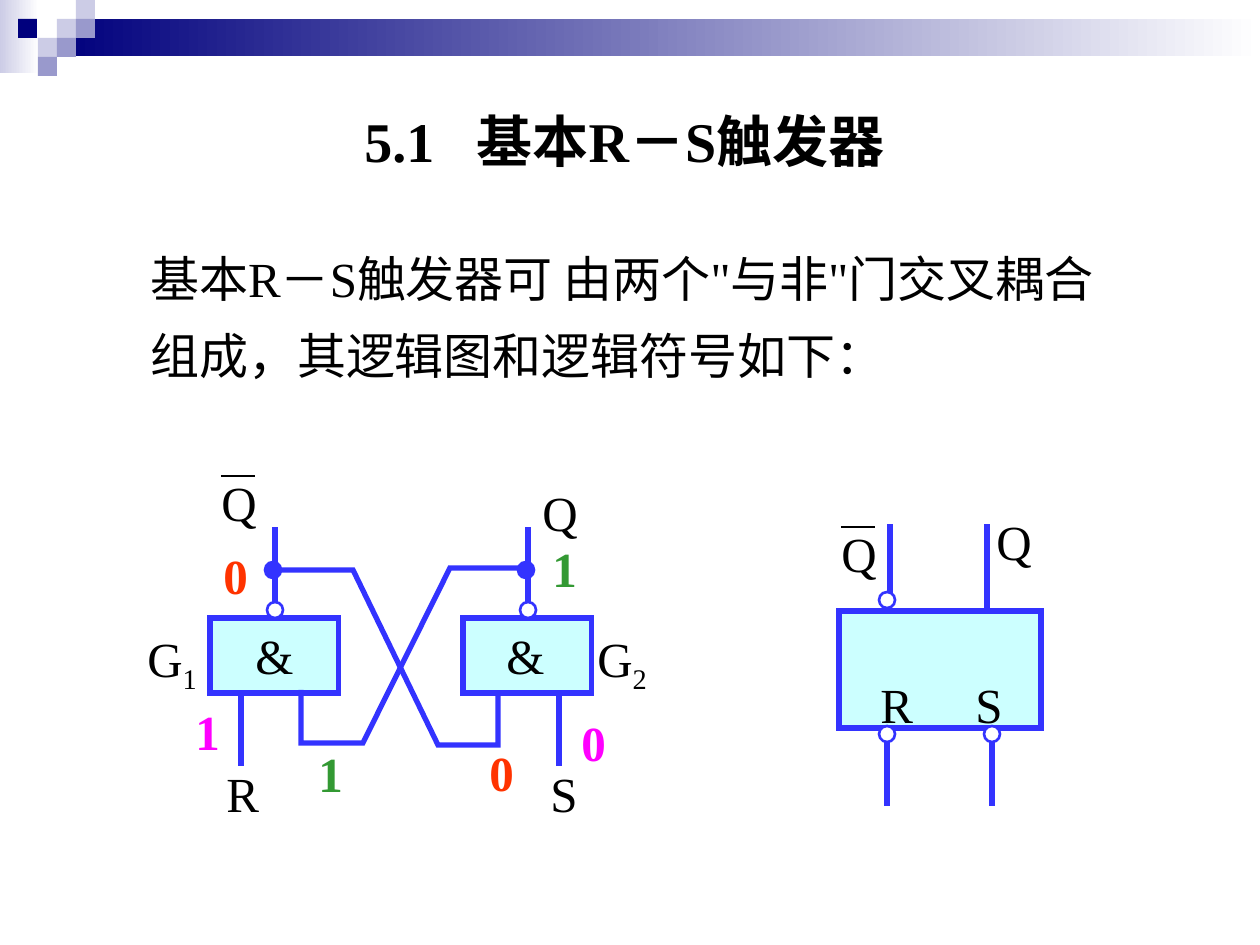
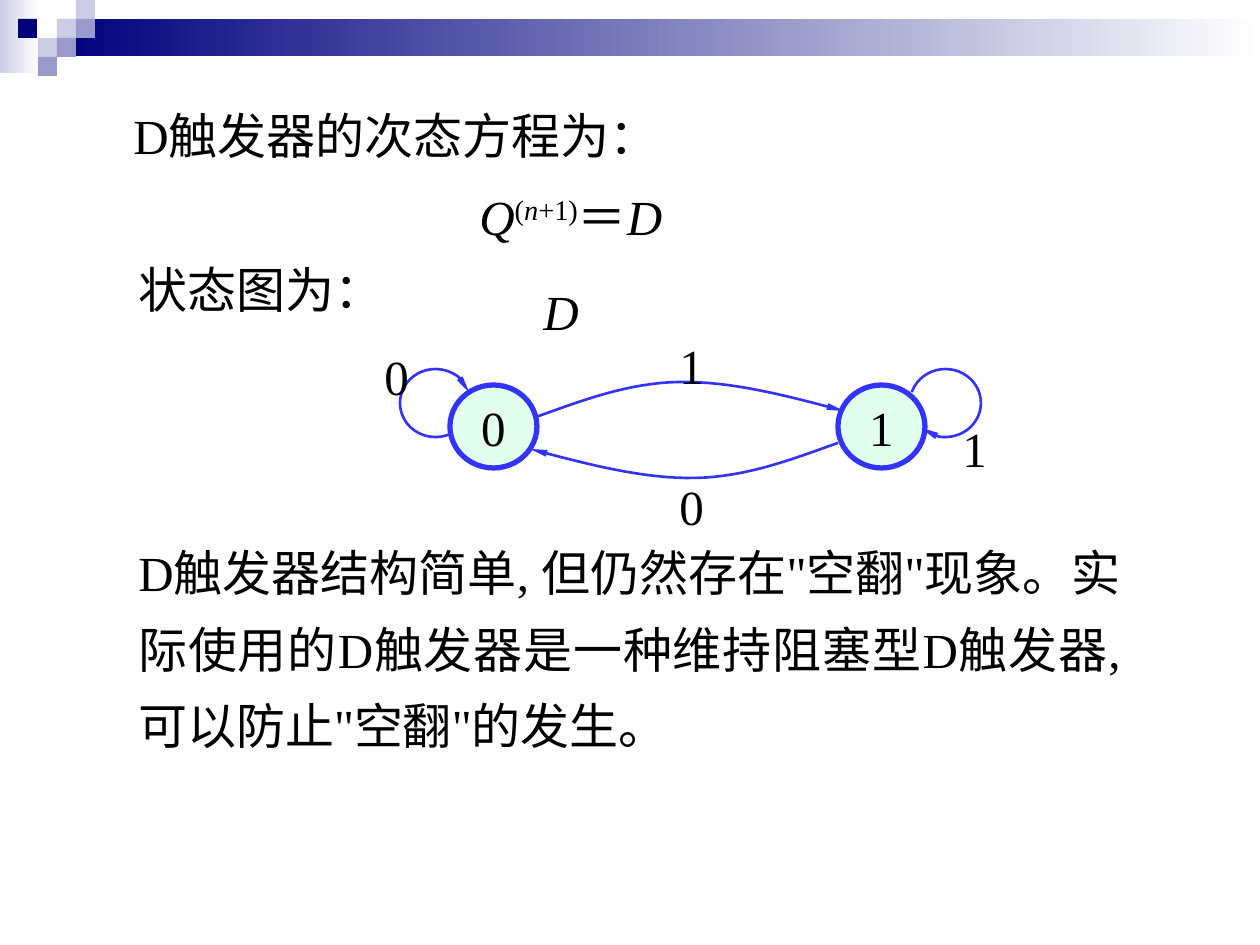
from lxml.etree import SubElement
from pptx import Presentation
from pptx.dml.color import RGBColor
from pptx.enum.shapes import MSO_CONNECTOR, MSO_SHAPE
from pptx.enum.text import MSO_ANCHOR, MSO_AUTO_SIZE, PP_ALIGN
from pptx.oxml.ns import qn
from pptx.util import Pt

SCALE = 914400 / 126
HUE = {
    "white": "FFFFFF", "black": "000000", "navy": "00007D",
    "pale": "CCCCE6", "mid": "9999CC", "blue": "3333FF",
    "cyan": "CCFFFF", "mint": "E2FEED", "pink": "FF00FF",
    "green": "339933", "red": "FF3300",
}
FONT = {"name": "Times New Roman", "size": Pt(28)}
BOLD = {"bold": True}
SLANT = {"italic": True}
BODY = {"line_spacing": 1.3}
TIGHT = {"line_spacing": 0.8}
SQUARES = [
    (57, 19, "pale"), (76, 0, "pale"), (76, 19, "mid"), (38, 38, "pale"),
    (18, 19, "navy"), (57, 38, "mid"), (38, 57, "mid"),
]


def emu(*vals):
    return [round(v * SCALE) for v in vals]


def rgb(name):
    return RGBColor.from_string(HUE[name])


def apply(item, *styles):
    for style in styles:
        for key, value in style.items():
            setattr(item, key, value)


def stroke(line, hue, width, arrow=False):
    line.color.rgb = rgb(hue)
    line.width = Pt(width)
    edge = line._get_or_add_ln()
    SubElement(edge, qn("a:miter"), lim="800000")
    if arrow:
        SubElement(edge, qn("a:tailEnd"), type="triangle", w="sm", len="lg")


def shape(slide, kind, box, fill=None, width=0, arrow=False):
    item = slide.shapes.add_shape(kind, *emu(*box))
    item.shadow.inherit = False
    if fill:
        item.fill.solid()
        item.fill.fore_color.rgb = rgb(fill)
    else:
        item.fill.background()
    if width:
        stroke(item.line, "blue", width, arrow)
    else:
        item.line.fill.background()
    return item


def fade(slide, box, hue):
    item = shape(slide, MSO_SHAPE.RECTANGLE, box)
    item.fill.gradient()
    item.fill.gradient_angle = 180
    for stop, name in zip(item.fill.gradient_stops, ("white", hue)):
        stop.color.rgb = rgb(name)


def band(slide):
    fade(slide, (0, 0, 39, 73), "pale")
    fade(slide, (57, 19, 1203, 37), "navy")
    for x, y, hue in SQUARES:
        shape(slide, MSO_SHAPE.RECTANGLE, (x, y, 19, 19), hue)


def write(para, parts, hue="black", style={}):
    for words, extra, base in parts:
        run = para.add_run()
        run.text = words
        apply(run.font, FONT, style, extra)
        run.font.color.rgb = rgb(hue)
        if base:
            run._r.get_or_add_rPr().set("baseline", str(base * 1000))


def text(slide, box, parts, hue="black", style={}, form={}, wrap=False, tab=0):
    if isinstance(parts, str):
        parts = [(parts, {}, 0)]
    frame = slide.shapes.add_textbox(*emu(*box)).text_frame
    apply(frame, {"word_wrap": wrap, "auto_size": MSO_AUTO_SIZE.SHAPE_TO_FIT_TEXT})
    para = frame.paragraphs[0]
    apply(para, form)
    props = para._p.get_or_add_pPr()
    props.set("hangingPunct", "0")
    if tab:
        tabs = SubElement(props, qn("a:tabLst"))
        SubElement(tabs, qn("a:tab"), pos=str(emu(tab)[0]), algn="l")
    write(para, parts, hue, style)


def label(slide, x, y, words, width=60, **style):
    text(slide, (x, y, width, 72), words, **style)


def wire(slide, start, end, hue="blue", width=3, root=None):
    line = slide.shapes.add_connector(MSO_CONNECTOR.STRAIGHT, *emu(*start, *end))
    stroke(line.line, hue, width)
    SubElement(line._element.spPr, qn("a:effectLst"))
    if root is not None:
        line.begin_connect(root, 0)


def trace(slide, points, width=3, arrow=False):
    dots = [emu(*point) for point in points]
    pen = slide.shapes.build_freeform(*dots[0])
    pen.add_line_segments(dots[1:], close=False)
    item = pen.convert_to_shape()
    item.shadow.inherit = False
    item.fill.background()
    stroke(item.line, "blue", width, arrow)


def curve(points, steps=16):
    result = [points[0]]
    for at in range(0, len(points) - 1, 3):
        a, b, c, d = points[at:at + 4]
        for step in range(1, steps + 1):
            t = step / steps
            s = 1 - t
            result.append(tuple(
                s**3 * a[i] + 3 * s * s * t * b[i] + 3 * s * t * t * c[i] + t**3 * d[i]
                for i in (0, 1)))
    return result


def bubble(slide, x, y, fill="white"):
    return shape(slide, MSO_SHAPE.OVAL, (x, y, 16, 16), fill, 1.5)


def gate(slide, x):
    shape(slide, MSO_SHAPE.RECTANGLE, (x, 618, 129, 75), "cyan", 3)
    ring = bubble(slide, x + 57, 602)
    wire(slide, (x + 65, 602), (x + 65, 527), root=ring)
    bubble(slide, x + 55, 562, "blue")


def barred(slide, x, y):
    label(slide, x, y, "Q")
    wire(slide, (x + 12, y + 10), (x + 46, y + 10), "black", 1.5)


def latch(slide):
    for x in (210, 463):
        gate(slide, x)
    for x in (241, 559):
        wire(slide, (x, 766), (x, 690))
    trace(slide, [(301, 690), (301, 743), (363, 743), (450, 568), (530, 568)])
    trace(slide, [(498, 692), (498, 745), (438, 745), (353, 570), (275, 570)])
    for x in (243, 494):
        label(slide, x, 619, "&", 63)
    for x, mark in ((135, "1"), (585, "2")):
        label(slide, x, 622, [("G", {}, 0), (mark, {}, -25)], 78)
    label(slide, 214, 757, "R")
    label(slide, 538, 757, "S", 53)
    barred(slide, 209, 466)
    label(slide, 530, 476, "Q")
    for x, y, bit, hue in (
        (569, 706, "0", "pink"), (540, 544, "1", "green"), (306, 749, "1", "green"),
        (183, 707, "1", "pink"), (211, 539, "0", "red"), (477, 736, "0", "red"),
    ):
        label(slide, x, y, bit, 49, hue=hue, style=BOLD, form=TIGHT if bit == "1" else {})


def symbol(slide):
    for x in (887, 992):
        wire(slide, (x, 806), (x, 732))
    wire(slide, (890, 600), (890, 524))
    shape(slide, MSO_SHAPE.RECTANGLE, (839, 611, 202, 117), "cyan", 3)
    for x, y in ((879, 592), (879, 726), (984, 726)):
        bubble(slide, x, y)
    barred(slide, 829, 517)
    label(slide, 868, 668, "R")
    label(slide, 963, 668, "S", 52)
    wire(slide, (987, 612), (987, 524))
    label(slide, 984, 505, "Q")


def state(slide, x, bit):
    item = shape(slide, MSO_SHAPE.OVAL, (x, 385, 87, 83), "mint", 3)
    apply(item.text_frame, {"word_wrap": False, "vertical_anchor": MSO_ANCHOR.MIDDLE})
    para = item.text_frame.paragraphs[0]
    para.alignment = PP_ALIGN.CENTER
    write(para, [(bit, {}, 0)])


def loop(slide, x, start, end):
    item = shape(slide, MSO_SHAPE.ARC, (x, 369, 71, 68), None, 1.5, True)
    for i, angle in enumerate((start, end)):
        item.adjustments[i] = angle * 0.6


def graph(slide):
    state(slide, 450, "0")
    state(slide, 838, "1")
    upper = [(536, 417), (581, 401), (627, 383), (679, 382),
             (731, 381), (788, 396), (844, 411)]
    lower = [(1374 - x, 860 - y) for x, y in upper]
    for points in (upper, lower):
        trace(slide, curve(points), 1.5, True)
    loop(slide, 400, 65, 343)
    loop(slide, 910, 198, 134)
    for x, y, bit in ((372, 340, "0"), (950, 412, "1"), (667, 329, "1"), (667, 470, "0")):
        label(slide, x, y, bit, 49)
    label(slide, 531, 275, "D", style=SLANT)


def basic(slide):
    text(slide, (352, 100, 713, 81), "5.1\t基本R－S触发器",
         style={"bold": True, "size": Pt(32)}, wrap=True, tab=112)
    text(slide, (138, 225, 973, 166),
         "基本R－S触发器可 由两个\"与非\"门交叉耦合组成，其逻辑图和逻辑符号如下：",
         form=BODY, wrap=True)
    latch(slide)
    symbol(slide)


def delay(slide):
    label(slide, 121, 99, "D触发器的次态方程为：", 561)
    label(slide, 467, 180, [
        ("Q", SLANT, 0), ("(", {}, 30), ("n", SLANT, 30), ("+1)", {}, 30),
        ("＝", {}, 0), ("D", SLANT, 0)], 236)
    label(slide, 126, 253, "状态图为：", 270)
    graph(slide)
    text(slide, (126, 519, 1007, 242),
         "D触发器结构简单, 但仍然存在\"空翻\"现象。实际使用的D触发器是一种维持阻塞型"
         "D触发器, 可以防止\"空翻\"的发生。",
         form={**BODY, "alignment": PP_ALIGN.JUSTIFY}, wrap=True)


def main():
    deck = Presentation()
    deck.slide_width, deck.slide_height = emu(1260, 945)
    for build in (basic, delay):
        slide = deck.slides.add_slide(deck.slide_layouts[6])
        band(slide)
        build(slide)
    deck.save("out.pptx")


if __name__ == "__main__":
    main()
